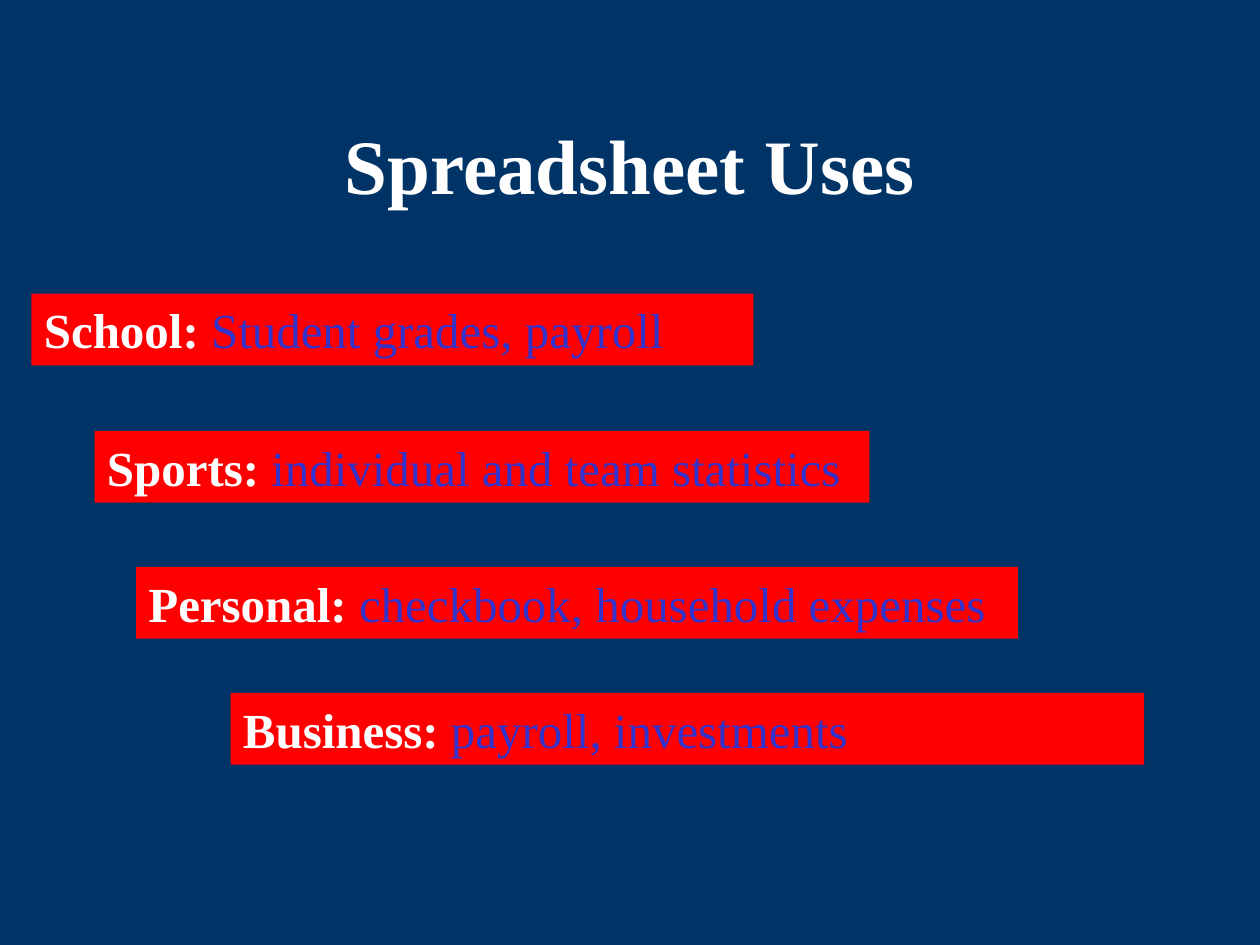
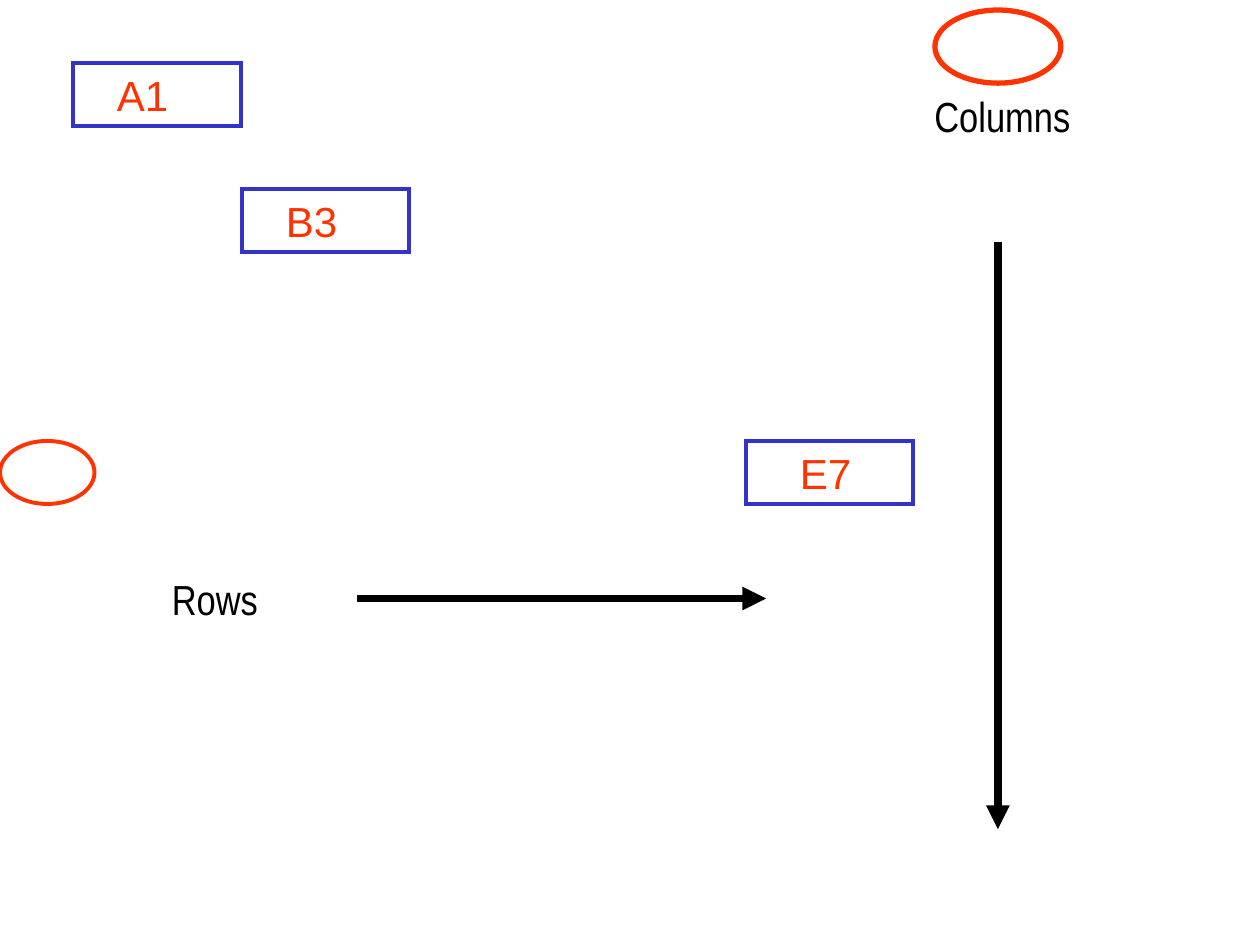
import pptx
import pptx.util
import pptx.dml.color
import pptx.enum.shapes
import pptx.enum.text
import pptx.oxml.ns
import lxml.etree

Inches = pptx.util.Inches
Pt = pptx.util.Pt
RGBColor = pptx.dml.color.RGBColor
SHAPE = pptx.enum.shapes.MSO_SHAPE
ANCHOR = pptx.enum.text.MSO_ANCHOR
ALIGN = pptx.enum.text.PP_ALIGN
qn = pptx.oxml.ns.qn

NAVY = RGBColor(0x00, 0x33, 0x66)
WHITE = RGBColor(0xFF, 0xFF, 0xFF)
BLACK = RGBColor(0x00, 0x00, 0x00)
RED = RGBColor(0xFF, 0x00, 0x00)
ORANGE = RGBColor(0xFF, 0x33, 0x00)
BLUE = RGBColor(0x33, 0x33, 0xCC)

SERIF = "Times New Roman"
SANS = "Arial"
NARROW = "Arial Narrow"


class SlideBuilder:
    """Holds the presentation, its style and the current slide."""

    def __init__(self):
        self.presentation = pptx.Presentation()
        self.presentation.slide_width = Inches(10)
        self.presentation.slide_height = Inches(7.5)
        self.slide = None

    def new_slide(self, background):
        self.slide = self.presentation.slides.add_slide(self.presentation.slide_layouts[6])
        self.slide.background.fill.solid()
        self.slide.background.fill.fore_color.rgb = background

    def text(self, words, left, top, width, height, font, size, color):
        box = self.slide.shapes.add_textbox(
            Inches(left), Inches(top), Inches(width), Inches(height))
        box.text_frame.word_wrap = True
        paragraph = box.text_frame.paragraphs[0]
        paragraph.text = words
        paragraph.font.name = font
        paragraph.font.size = Pt(size)
        paragraph.font.color.rgb = color
        return box.text_frame

    def title(self, words):
        frame = self.text(words, 0.75, 0.67, 8.5, 1.25, SERIF, 44, WHITE)
        frame.vertical_anchor = ANCHOR.MIDDLE
        frame.paragraphs[0].alignment = ALIGN.CENTER
        frame.paragraphs[0].font.bold = True

    def label(self, words, left, top, width, height):
        frame = self.text(words, left, top, width, height, NARROW, 24, BLACK)
        frame.margin_left = frame.margin_right = 0
        frame.paragraphs[0].alignment = ALIGN.CENTER

    def shape(self, kind, left, top, width, height):
        shape = self.slide.shapes.add_shape(
            kind, Inches(left), Inches(top), Inches(width), Inches(height))
        shape.shadow.inherit = False
        return shape

    def outline(self, kind, left, top, width, height, color, weight):
        shape = self.shape(kind, left, top, width, height)
        shape.fill.background()
        shape.line.color.rgb = color
        shape.line.width = Pt(weight)
        # Sharp corners
        lxml.etree.SubElement(shape.line._get_or_add_ln(), qn("a:miter"), lim="800000")

    def use_bar(self, heading, examples, left, top, width):
        bar = self.shape(SHAPE.RECTANGLE, left, top, width, 0.57)
        bar.fill.solid()
        bar.fill.fore_color.rgb = RED
        bar.line.fill.background()
        frame = bar.text_frame
        frame.word_wrap = True
        frame.vertical_anchor = ANCHOR.TOP
        paragraph = frame.paragraphs[0]
        paragraph.alignment = ALIGN.LEFT
        paragraph.font.name = SERIF
        paragraph.font.size = Pt(28)
        for words, color, bold in ((heading, WHITE, True), (" " + examples, BLUE, False)):
            run = paragraph.add_run()
            run.text = words
            run.font.color.rgb = color
            run.font.bold = bold

    def arrow(self, start_x, start_y, end_x, end_y):
        arrow = self.slide.shapes.add_connector(
            pptx.enum.shapes.MSO_CONNECTOR.STRAIGHT,
            Inches(start_x), Inches(start_y), Inches(end_x), Inches(end_y))
        arrow.line.color.rgb = BLACK
        arrow.line.width = Pt(4.5)
        lxml.etree.SubElement(arrow.line._get_or_add_ln(), qn("a:tailEnd"), type="triangle")
        lxml.etree.SubElement(arrow._element.spPr, qn("a:effectLst"))

    def cell_name(self, name, left, top, indent):
        self.text(name, left + indent, top, 0.67, 0.5, SANS, 24, ORANGE)
        self.outline(SHAPE.RECTANGLE, left, top, 1.33, 0.5, BLUE, 2.25)


def main():
    builder = SlideBuilder()

    # Slide 1: uses, one bar each
    builder.new_slide(NAVY)
    builder.title("Spreadsheet Uses")
    for use in (
        ("School:", "Student grades, payroll", 0.25, 2.33, 5.73),
        ("Sports:", "individual and team statistics", 0.75, 3.42, 6.15),
        ("Personal:", "checkbook, household expenses", 1.08, 4.5, 7),
        ("Business:", "payroll, investments", 1.83, 5.5, 7.25),
    ):
        builder.use_bar(*use)

    # Slide 2: columns run down, rows run across
    builder.new_slide(WHITE)
    builder.label("Columns", 7.33, 0.67, 1.25, 0.83)
    builder.arrow(7.92, 1.92, 7.92, 6.58)
    builder.outline(SHAPE.OVAL, 7.42, 0.08, 1, 0.58, ORANGE, 3)
    builder.label("Rows", 0.83, 4.5, 1.75, 0.5)
    builder.arrow(2.83, 4.75, 6.08, 4.75)
    builder.outline(SHAPE.OVAL, 0, 3.5, 0.75, 0.5, ORANGE, 2.25)

    # Cell names in their frames
    for cell in (("A1", 0.58, 0.5, 0.25), ("B3", 1.92, 1.5, 0.25), ("E7", 5.92, 3.5, 0.33)):
        builder.cell_name(*cell)

    builder.presentation.save("out.pptx")


if __name__ == "__main__":
    main()
